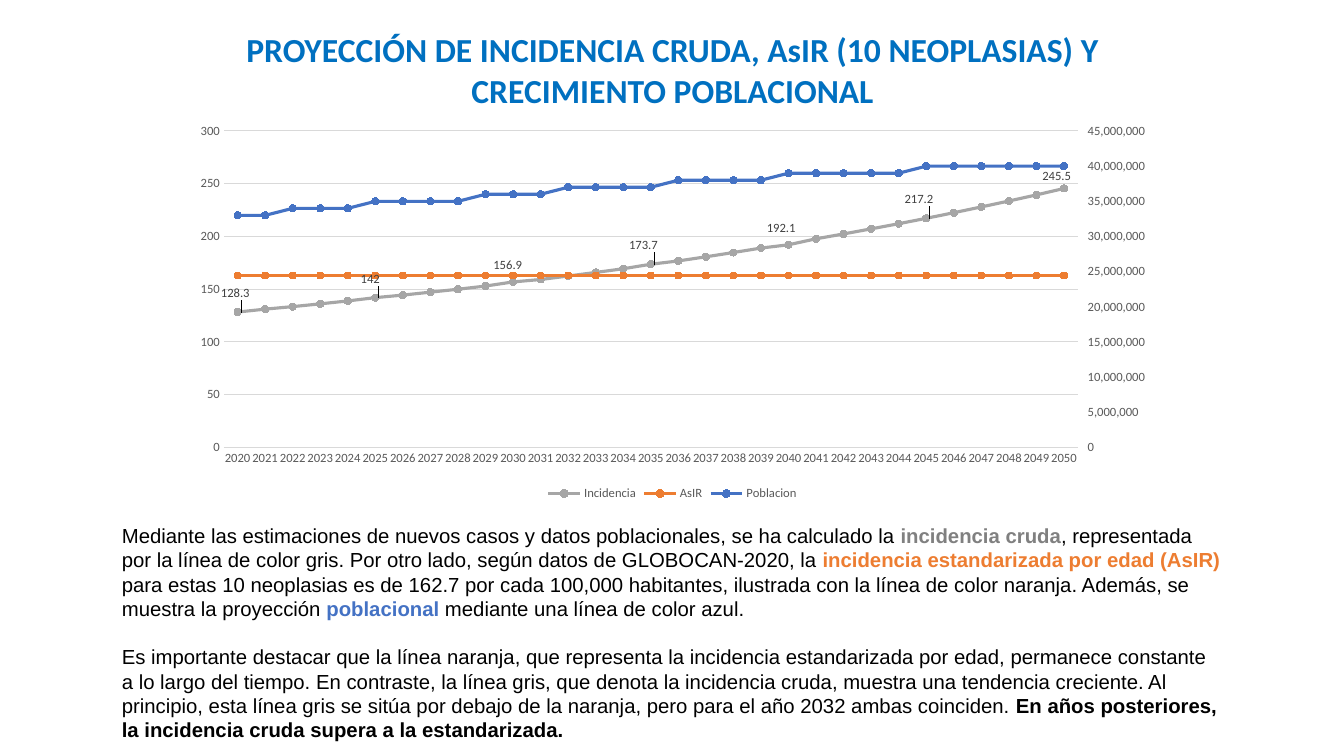
from copy import deepcopy
from pptx import Presentation
from pptx import util as u
from pptx.chart.data import CategoryChartData
from pptx.dml.color import RGBColor
from pptx.enum import chart as charts, text
from pptx.oxml import parse_xml
from pptx.oxml.ns import nsdecls, qn

BLUE_TITLE = RGBColor(0x00, 0x70, 0xC0)
BLACK = RGBColor(0x00, 0x00, 0x00)
GRAY_TEXT = RGBColor(0x80, 0x80, 0x80)
GRAY = RGBColor(0xA6, 0xA6, 0xA6)
ORANGE = RGBColor(0xED, 0x7D, 0x31)
BLUE = RGBColor(0x44, 0x72, 0xC4)
AXIS_TEXT = RGBColor(0x59, 0x59, 0x59)
LABEL_TEXT = RGBColor(0x40, 0x40, 0x40)
GRID = RGBColor(0xD9, 0xD9, 0xD9)

TITLE = "PROYECCIÓN DE INCIDENCIA CRUDA, AsIR (10 NEOPLASIAS) Y CRECIMIENTO POBLACIONAL"
BODY = [
    [
        ("Mediante las estimaciones de nuevos casos y datos poblacionales, se ha calculado la ", BLACK, False),
        ("incidencia cruda", GRAY_TEXT, True),
        (", representada por la línea de color gris. Por otro lado, según datos de GLOBOCAN-2020, la ", BLACK, False),
        ("incidencia estandarizada por edad (AsIR) ", ORANGE, True),
        ("para estas 10 neoplasias es de 162.7 por cada 100,000 habitantes, ilustrada con la línea de color "
         "naranja. Además, se muestra la proyección ", BLACK, False),
        ("poblacional", BLUE, True),
        (" mediante una línea de color azul.", BLACK, False),
    ],
    [
        ("Es importante destacar que la línea naranja, que representa la incidencia estandarizada por edad, "
         "permanece constante a lo largo del tiempo. En contraste, la línea gris, que denota la incidencia "
         "cruda, muestra una tendencia creciente. Al principio, esta línea gris se sitúa por debajo de la "
         "naranja, pero para el año 2032 ambas coinciden. ", BLACK, False),
        ("En años posteriores, la incidencia cruda supera a la estandarizada.", BLACK, True),
    ],
]
YEARS = range(2020, 2051)
INCIDENCE = [
    128.3, 131.1, 133.5, 136.1, 138.9, 142, 144.4, 147.2, 150, 153, 156.9, 159.2, 162.5, 165.9, 169.4, 173.7,
    176.8, 180.7, 184.8, 189, 192.1, 197.8, 202.4, 207.2, 212.1, 217.2, 222.5, 228, 233.6, 239.4, 245.5,
]
POPULATION_MILLIONS = [
    33, 33, 34, 34, 34, 35, 35, 35, 35, 36, 36, 36, 37, 37, 37, 37,
    38, 38, 38, 38, 39, 39, 39, 39, 39, 40, 40, 40, 40, 40, 40,
]
SERIES = [
    ("Incidencia", INCIDENCE, GRAY),
    ("AsIR", [163] * len(YEARS), ORANGE),
    ("Poblacion", [value * 1_000_000 for value in POPULATION_MILLIONS], BLUE),
]
CHART_AREA = (1.79, 1.15, 9.76, 3.86)
PLOT_INCHES = (0.43, 0.15, 8.47, 3.14)
LABEL_SHIFT_INCHES = {
    2020: (-0.24, -0.19),
    2025: (-0.22, -0.18),
    2030: (-0.27, -0.17),
    2035: (-0.29, -0.19),
    2040: (-0.29, -0.16),
    2045: (-0.29, -0.19),
    2050: (-0.29, -0.12),
}


def add_text_box(slide, left, top, width, height):
    frame = slide.shapes.add_textbox(*map(u.Inches, (left, top, width, height))).text_frame
    frame.word_wrap = True
    return frame


def add_run(paragraph, content, name, size, color, bold):
    run = paragraph.add_run()
    run.text = content
    style_font(run.font, name, size, color)
    run.font.bold = bold


def style_font(font, name, size, color):
    font.name, font.size = name, u.Pt(size)
    font.color.rgb = color


def style_axis(axis, line_color=None):
    axis.major_tick_mark = axis.minor_tick_mark = charts.XL_TICK_MARK.NONE
    style_font(axis.tick_labels.font, "Calibri", 9, AXIS_TEXT)
    if line_color is None:
        axis.format.line.fill.background()
    else:
        axis.format.line.color.rgb = line_color
        axis.format.line.width = u.Pt(0.75)


def manual_layout(inches, inner=False):
    target = '<c:layoutTarget val="inner"/><c:xMode val="edge"/><c:yMode val="edge"/>' if inner else ""
    parts = "".join(f'<c:{key} val="{length / whole}"/>'
                    for key, length, whole in zip("xywh", inches, CHART_AREA[2:] * 2))
    return parse_xml(f'<c:layout {nsdecls("c")}><c:manualLayout>{target}{parts}</c:manualLayout></c:layout>')


def set_child(parent, tag, value):
    parent.find(qn(tag)).set("val", value)


def move_last_series_right(plot_area):
    left_plot = plot_area.find(qn("c:lineChart"))
    right_plot = deepcopy(left_plot)
    left_plot.remove(left_plot.findall(qn("c:ser"))[-1])
    for series in right_plot.findall(qn("c:ser"))[:-1]:
        right_plot.remove(series)
    left_plot.addnext(right_plot)
    left_axes = [plot_area.find(qn(tag)) for tag in ("c:catAx", "c:valAx")]
    ids = {axis.find(qn("c:axId")).get("val"): str(5001 + index) for index, axis in enumerate(left_axes)}
    for reference in right_plot.findall(qn("c:axId")):
        reference.set("val", ids[reference.get("val")])
    category, value = [deepcopy(axis) for axis in left_axes]
    for axis in (category, value):
        for tag in ("c:axId", "c:crossAx"):
            element = axis.find(qn(tag))
            element.set("val", ids[element.get("val")])
    set_child(category, "c:delete", "1")
    value.remove(value.find(qn("c:majorGridlines")))
    set_child(value, "c:axPos", "r")
    set_child(value, "c:crosses", "max")
    set_child(value, "c:majorTickMark", "out")
    value.find(qn("c:numFmt")).set("formatCode", "#,##0")
    set_child(value.find(qn("c:scaling")), "c:max", "45000000")
    set_child(value, "c:majorUnit", "5000000")
    left_axes[1].addnext(value)
    value.addnext(category)


def label_incidence(series):
    labels = series.data_labels
    labels.show_value = False
    for year, shift in LABEL_SHIFT_INCHES.items():
        index = YEARS.index(year)
        label = series.points[index].data_label
        style_font(label.font, "Calibri", 9, LABEL_TEXT)
        label.position = charts.XL_LABEL_POSITION.RIGHT
        element = next(item for item in series._element.iter(qn("c:dLbl"))
                       if item.find(qn("c:idx")).get("val") == str(index))
        element.find(qn("c:idx")).addnext(manual_layout(shift))
    labels._element.append(parse_xml(
        f'<c:extLst {nsdecls("c")}><c:ext uri="{{CE6537A1-D6FC-4f65-9D91-7224C49458BB}}" '
        'xmlns:c15="http://schemas.microsoft.com/office/drawing/2012/chart">'
        '<c15:showLeaderLines val="1"/></c:ext></c:extLst>'))


def add_projection_chart(slide):
    data = CategoryChartData()
    data.categories = [str(year) for year in YEARS]
    for name, values, _ in SERIES:
        data.add_series(name, values)
    area = map(u.Inches, CHART_AREA)
    chart = slide.shapes.add_chart(charts.XL_CHART_TYPE.LINE_MARKERS, *area, data).chart
    style_font(chart.font, "Calibri", 10, BLACK)
    chart.has_title = False
    chart.has_legend = True
    chart.legend.position = charts.XL_LEGEND_POSITION.BOTTOM
    chart.legend.include_in_layout = False
    style_font(chart.legend.font, "Calibri", 9, AXIS_TEXT)
    style_axis(chart.category_axis, GRID)
    axis = chart.value_axis
    style_axis(axis)
    axis.minimum_scale, axis.maximum_scale, axis.major_unit = 0, 300, 50
    axis.tick_labels.number_format = "General"
    axis.tick_labels.number_format_is_linked = False
    axis.major_gridlines.format.line.color.rgb = GRID
    axis.major_gridlines.format.line.width = u.Pt(0.75)
    plot = chart.plots[0]
    plot.vary_by_categories = False
    for series, (_, _, color) in zip(plot.series, SERIES):
        series.smooth = False
        series.format.line.color.rgb = color
        series.format.line.width = u.Pt(2.25)
        series.marker.style = charts.XL_MARKER_STYLE.CIRCLE
        series.marker.size = 5
        series.marker.format.fill.solid()
        series.marker.format.fill.fore_color.rgb = color
        series.marker.format.line.color.rgb = color
    label_incidence(plot.series[0])
    plot_area = chart._chartSpace.find(".//" + qn("c:plotArea"))
    for layout in plot_area.findall(qn("c:layout")):
        plot_area.remove(layout)
    plot_area.insert(0, manual_layout(PLOT_INCHES, inner=True))
    move_last_series_right(plot_area)


def main():
    presentation = Presentation()
    presentation.slide_width, presentation.slide_height = u.Inches(13.33), u.Inches(7.5)
    slide = presentation.slides.add_slide(presentation.slide_layouts[6])
    body = add_text_box(slide, 1.11, 5.14, 11.11, 2.3)
    for index, runs in enumerate(BODY):
        paragraph = body.paragraphs[0] if index == 0 else body.add_paragraph()
        if index:
            paragraph.space_before = u.Pt(17)
        for content, color, bold in runs:
            add_run(paragraph, content, "Arial", 14.5, color, bold)
    add_projection_chart(slide)
    title = add_text_box(slide, 2.21, 0.24, 8.92, 0.91).paragraphs[0]
    title.alignment = text.PP_ALIGN.CENTER
    add_run(title, TITLE, "Calibri", 24, BLUE_TITLE, True)
    presentation.save("out.pptx")


if __name__ == "__main__":
    main()
